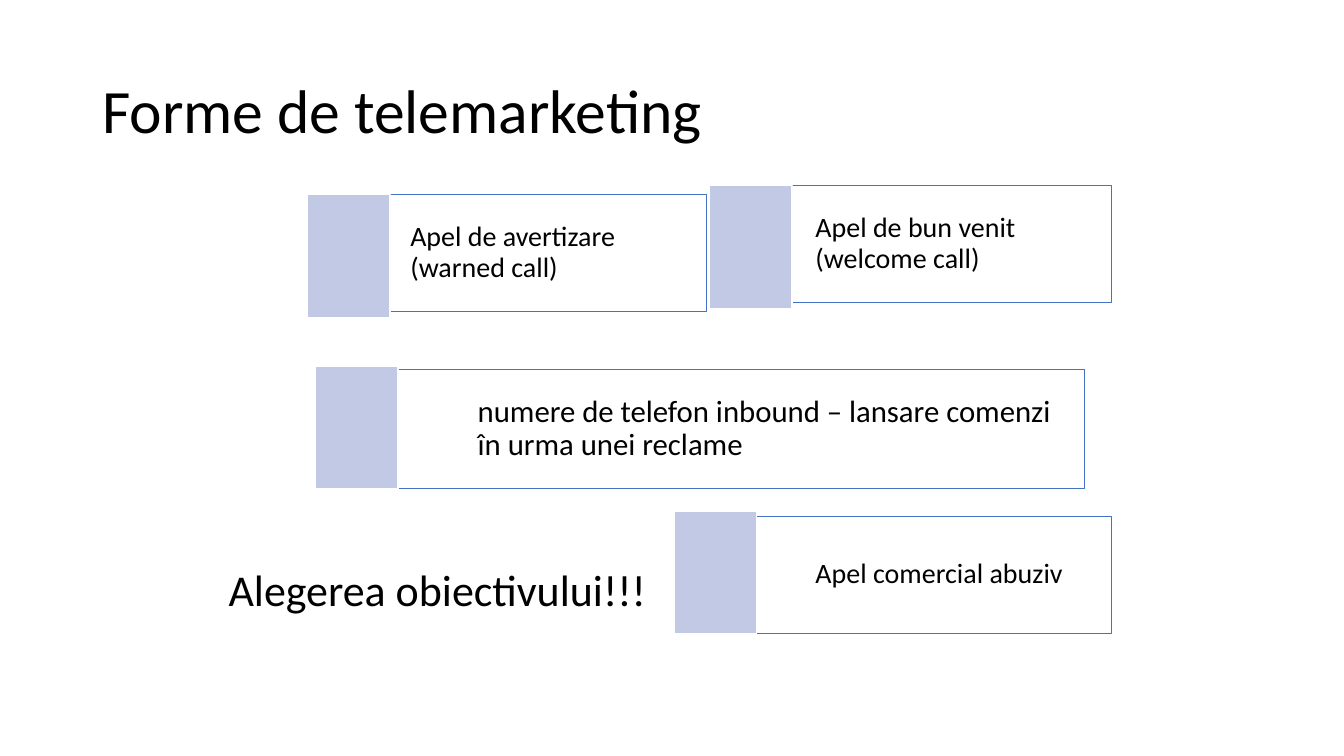
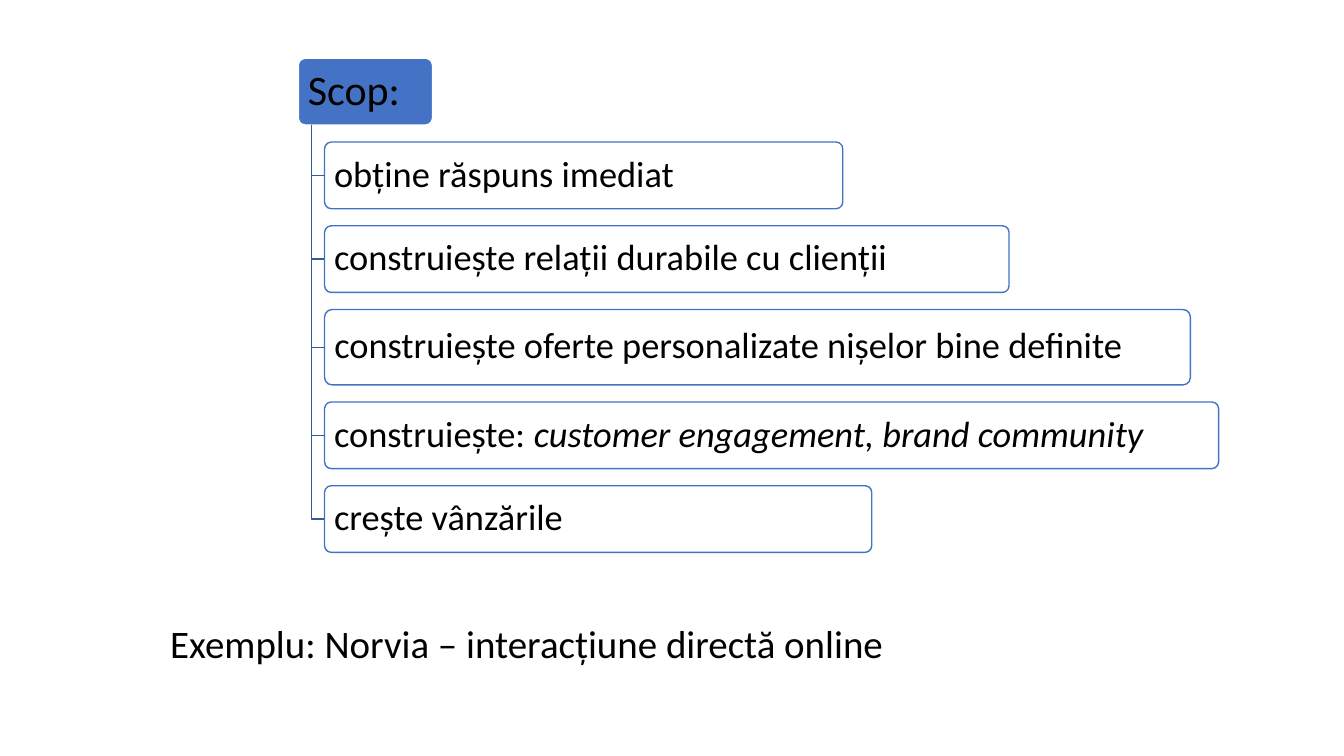
from pptx import Presentation
from pptx.dml.color import RGBColor
from pptx.enum.shapes import MSO_SHAPE as Preset
from pptx.enum.text import MSO_ANCHOR as Anchor, PP_ALIGN as Align
from pptx.util import Cm, Pt

BLUE, TAB, WHITE, BLACK, BRANCH = "4472C4", "C1C9E4", "FFFFFF", "000000", "365B9D"


def colour(code):
    return RGBColor.from_string(code)


class Deck:
    """Holds the shared style and the current slide, and draws each kind of element."""

    font = "Calibri"

    def __init__(self, width, height):
        self.deck = Presentation()
        self.deck.slide_width, self.deck.slide_height = Cm(width), Cm(height)
        self.page = None

    def new_page(self):
        self.page = self.deck.slides.add_slide(self.deck.slide_layouts[6])

    def label(self, shape, runs, size, left=0.25, side=0.25, spacing=0.9):
        frame = shape.text_frame
        layout = {
            "word_wrap": True, "vertical_anchor": Anchor.MIDDLE,
            "margin_left": Cm(left), "margin_right": Cm(side),
            "margin_top": Cm(0.13), "margin_bottom": Cm(0.13),
        }
        for name, value in layout.items():
            setattr(frame, name, value)
        para = frame.paragraphs[0]
        para.alignment, para.line_spacing = Align.LEFT, spacing
        for text, italic in runs:
            span = para.add_run()
            span.text = text
            for name, value in {"name": self.font, "size": Pt(size), "italic": italic}.items():
                setattr(span.font, name, value)
            span.font.color.rgb = colour(BLACK)

    def text(self, x, y, width, height, words, size, spacing=1.0):
        box = self.page.shapes.add_textbox(Cm(x), Cm(y), Cm(width), Cm(height))
        self.label(box, [(words, False)], size, spacing=spacing)

    def box(self, x, y, width, height, fill, line, weight=1, preset=Preset.RECTANGLE):
        shape = self.page.shapes.add_shape(preset, Cm(x), Cm(y), Cm(width), Cm(height))
        shape.shadow.inherit = False
        shape.fill.solid()
        shape.fill.fore_color.rgb = colour(fill)
        shape.line.color.rgb = colour(line)
        shape.line.width = Pt(weight)
        return shape

    def card(self, panel, tab, words, size):
        shape = self.box(*panel, WHITE, BLUE, 0.5)
        self.label(shape, [(words, False)], size, left=2.01, side=0.2)
        self.box(*tab, 2.08, 3.1, TAB, WHITE)

    def node(self, x, y, width, height, fill, line, runs, size):
        shape = self.box(x, y, width, height, fill, line, preset=Preset.ROUNDED_RECTANGLE)
        shape.adjustments[0] = 0.1
        self.label(shape, runs, size, left=0.19, side=0.19)

    def elbow(self, x, top, bottom, end):
        builder = self.page.shapes.build_freeform(Cm(x), Cm(top))
        builder.add_line_segments([(Cm(x), Cm(bottom)), (Cm(end), Cm(bottom))], close=False)
        shape = builder.convert_to_shape()
        shape.shadow.inherit = False
        shape.fill.background()
        shape.line.color.rgb = colour(BRANCH)
        shape.line.width = Pt(1)


def telemarketing_page(deck):
    deck.new_page()
    deck.text(2.33, 1.02, 29.21, 3.68, "Forme de telemarketing", 44, spacing=0.9)
    deck.text(5.51, 13.7, 11.4, 2.3, "Alegerea obiectivului!!!", 31.4)
    cards = [
        ((8.33, 4.9, 9.47, 2.95), (7.75, 4.9), "Apel de avertizare (warned call)", 20),
        ((18.54, 4.67, 9.47, 2.95), (17.88, 4.67), "Apel de bun venit (welcome call)", 20),
        ((10.03, 9.3, 17.3, 3.02), (7.95, 9.22),
         "numere de telefon inbound – lansare comenzi în urma unei reclame", 22),
        ((18.54, 13.0, 9.47, 2.95), (16.99, 12.88), "Apel comercial abuziv", 20),
    ]
    for card in cards:
        deck.card(*card)


def purpose_page(deck):
    deck.new_page()
    root_left, root_top, height, gap = 7.52, 1.47, 1.68, 0.43
    trunk, goal_left, root_bottom = 7.85, 8.18, root_top + height
    deck.node(root_left, root_top, 3.38, height, BLUE, WHITE, [("Scop:", False)], 30)
    goals = [
        (13.06, height, [("obține răspuns imediat", False)]),
        (17.25, height, [("construiește relații durabile cu clienții", False)]),
        (21.82, 1.9, [("construiește oferte personalizate nișelor bine definite", False)]),
        (22.53, height, [("construiește: ", False),
                         ("customer engagement, brand community", True)]),
        (13.79, height, [("crește vânzările", False)]),
    ]
    top = root_bottom + gap
    for width, goal_height, runs in goals:
        deck.elbow(trunk, root_bottom, top + goal_height / 2, goal_left)
        deck.node(goal_left, top, width, goal_height, WHITE, BLUE, runs, 26)
        top += goal_height + gap
    deck.text(4.04, 15.2, 26.67, 2, "Exemplu: Norvia – interacțiune directă online", 27.8)


def main():
    deck = Deck(33.87, 19.05)
    telemarketing_page(deck)
    purpose_page(deck)
    deck.deck.save("out.pptx")


if __name__ == "__main__":
    main()
